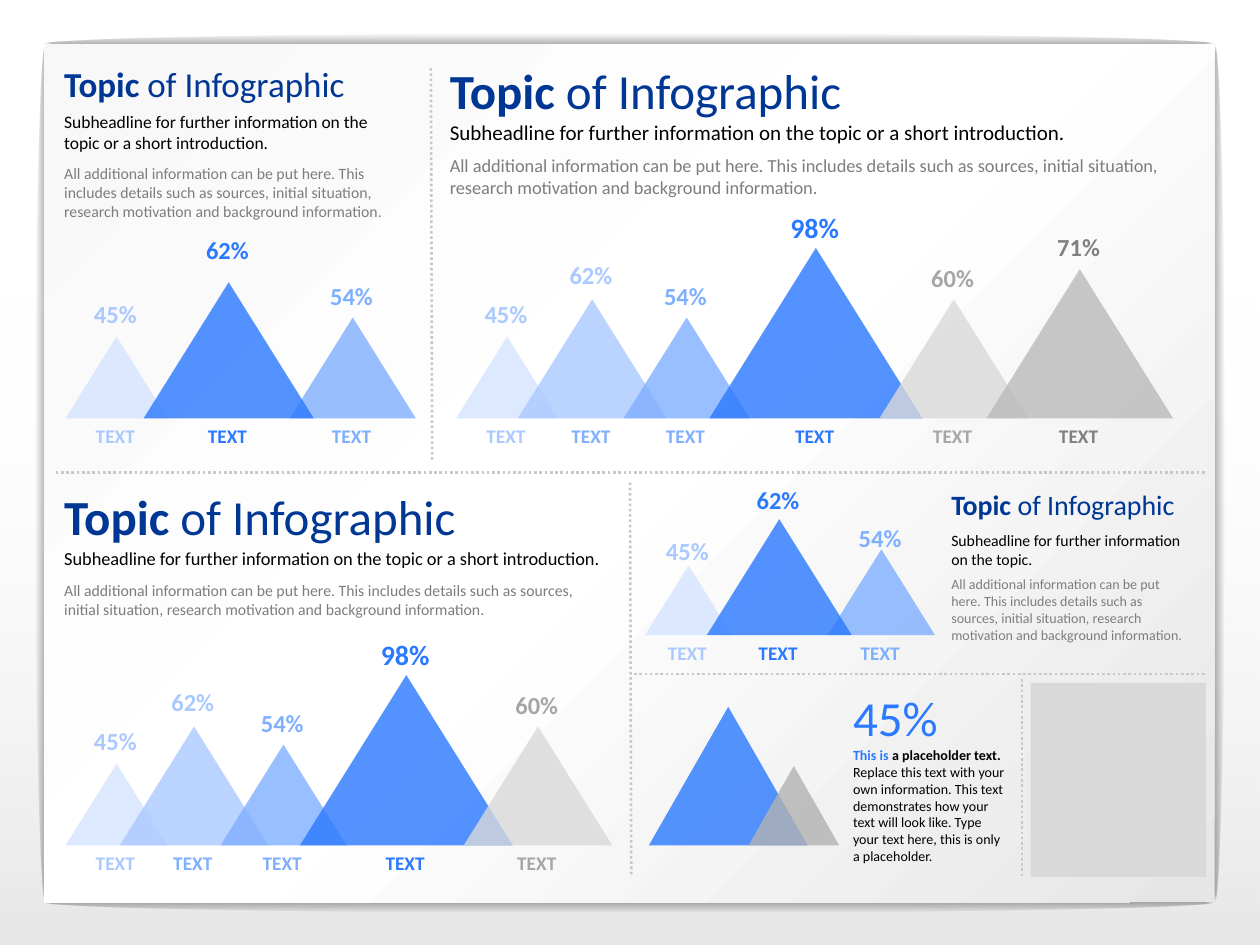
from lxml.etree import SubElement
from pptx import Presentation
from pptx.dml.color import RGBColor
from pptx.enum.dml import MSO_LINE
from pptx.enum.shapes import MSO_CONNECTOR, MSO_SHAPE
from pptx.enum.text import PP_ALIGN
from pptx.oxml import parse_xml
from pptx.oxml.ns import nsdecls, qn
from pptx.util import Inches, Pt

FONT = "Calibri"
COLORS = {
    "black": "000000", "white": "FFFFFF", "paper": "F8F8F8", "shade": "E6E6E6",
    "navy": "003794", "body": "7D7D7D", "divider": "C8C8C8",
    "ice": "D4E4FF", "sky": "AAC9FF", "azure": "7FAFFF", "blue": "2A79FF",
    "silver": "D9D9D9", "ash": "BABABA", "smoke": "B2B2B2",
    "grey": "A6A6A6", "dark": "808080",
}
# Peak tone: colours of the triangle, the share above it and the caption below it
TONES = {
    "pale": ("ice", "sky", "sky"),
    "light": ("sky", "sky", "azure"),
    "medium": ("azure", "azure", "azure"),
    "strong": ("blue", "blue", "blue"),
    "silver": ("silver", "grey", "grey"),
    "dark": ("ash", "dark", "dark"),
}
SUBHEAD = "Subheadline for further information on the topic"
DETAILS = ("All additional information can be put here. This includes details such as "
           "sources, initial situation, research motivation and background information.")


def rgb(color):
    return RGBColor.from_string(COLORS[color])


def add_block(slide, preset, box, color=None, opacity=100):
    block = slide.shapes.add_shape(preset, *map(Inches, box))
    block.shadow.inherit = False
    block.line.fill.background()
    if color:
        block.fill.solid()
        block.fill.fore_color.rgb = rgb(color)
    if opacity < 100:
        tint = block.fill._xPr.find(qn("a:solidFill"))[0]
        SubElement(tint, qn("a:alpha"), val=str(opacity * 1000))
    return block


def add_gradient(slide, preset, box, stops, angle=None):
    """Add a block with a linear gradient, or a radial one if angle is None.

    Each stop is (position, color, opacity), in percent.
    """
    block = add_block(slide, preset, box)
    stop_xml = "".join(
        f'<a:gs pos="{position * 1000}"><a:srgbClr val="{COLORS[color]}">'
        f'<a:alpha val="{opacity * 1000}"/></a:srgbClr></a:gs>'
        for position, color, opacity in stops)
    if angle is None:
        course = ('<a:path path="shape"><a:fillToRect l="50000" t="50000" '
                  'r="50000" b="50000"/></a:path>')
    else:
        course = f'<a:lin ang="{angle * 60000}" scaled="0"/>'
    gradient = parse_xml(f'<a:gradFill {nsdecls("a")} rotWithShape="1">'
                         f'<a:gsLst>{stop_xml}</a:gsLst>{course}</a:gradFill>')
    block._element.spPr.find(qn("a:prstGeom")).addnext(gradient)


def add_paper(slide):
    """Add the background shade and the sheet with its soft shadows."""
    add_gradient(slide, MSO_SHAPE.RECTANGLE, (0, 2.21, 10, 5.29),
                 [(0, "black", 10), (100, "white", 0)], 270)
    edges = [(0.35, 7.08, 9.29, 0.16), (0.35, 0.27, 9.29, 0.16),
             (9.56, 0.35, 0.16, 6.81), (0.28, 0.35, 0.16, 6.81)]
    for edge in edges:
        add_gradient(slide, MSO_SHAPE.OVAL, edge, [(0, "black", 30), (100, "black", 0)])
    add_gradient(slide, MSO_SHAPE.RECTANGLE, (0.35, 0.35, 9.29, 6.81),
                 [(0, "shade", 100), (50, "white", 100), (100, "paper", 100)], 225)


def add_divider(slide, *ends):
    divider = slide.shapes.add_connector(MSO_CONNECTOR.STRAIGHT, *map(Inches, ends))
    divider.line.color.rgb = rgb("divider")
    divider.line.width = Pt(1.5)
    divider.line.dash_style = MSO_LINE.ROUND_DOT
    SubElement(divider._element.spPr, qn("a:effectLst"))


def add_frame(slide, box, insets=None, wrap=True):
    frame = slide.shapes.add_textbox(*map(Inches, box)).text_frame
    frame.word_wrap = wrap
    if insets:
        (frame.margin_left, frame.margin_top,
         frame.margin_right, frame.margin_bottom) = map(Inches, insets)
    return frame


def write(paragraph, words, size, color, bold=False):
    run = paragraph.add_run()
    run.text = words
    run.font.name = FONT
    run.font.size = Pt(size)
    run.font.bold = bold
    run.font.color.rgb = rgb(color)


def add_heading(slide, left, title, subhead, details, ending=" or a short introduction."):
    """Add title, subheadline and details, each given as (top, width, height, size)."""
    parts = [
        (title, 0.08, [("Topic", "navy", True), (" of Infographic", "navy", False)]),
        (subhead, 0, [(SUBHEAD + ending, "black", False)]),
        (details, 0, [(DETAILS, "body", False)]),
    ]
    for (top, width, height, size), inset, runs in parts:
        frame = add_frame(slide, (left, top, width, height), (0, inset, 0.2, 0))
        paragraph = frame.paragraphs[0]
        paragraph.space_after = Pt(3)
        if inset:
            paragraph.line_spacing = 0.85
        for words, color, bold in runs:
            write(paragraph, words, size, color, bold)


def add_label(slide, center, top, width, height, words, size, color):
    frame = add_frame(slide, (center - width / 2, top, width, height), wrap=False)
    frame.paragraphs[0].alignment = PP_ALIGN.CENTER
    write(frame.paragraphs[0], words, size, color, bold=True)


def add_peaks(slide, baseline, peaks):
    """Add a row of peaks, each given as (left, width, share, tone, gap below share)."""
    for left, width, share, tone, gap in peaks:
        fill, share_color, caption_color = TONES[tone]
        height = 0.8 * width
        center = left + width / 2 - 0.01
        size, label_width, label_height = (16, 0.59, 0.37) if share > 90 else (14, 0.55, 0.34)
        add_block(slide, MSO_SHAPE.ISOSCELES_TRIANGLE,
                  (left, baseline - height, width, height), fill, 80)
        add_label(slide, center, baseline - height - gap - label_height,
                  label_width, label_height, f"{share}%", size, share_color)
        add_label(slide, center, baseline, 0.52, 0.29, "TEXT", 11, caption_color)


def add_callout(slide):
    frame = add_frame(slide, (6.69, 5.46, 1.41, 1.51), (0.08, 0, 0.12, 0.08))
    write(frame.paragraphs[0], "45%", 28, "blue")
    note = frame.add_paragraph()
    write(note, "This is", 8, "blue", bold=True)
    write(note, " a placeholder text. ", 8, "black", bold=True)
    write(note, "Replace this text with your own information. This text demonstrates how "
                "your text will look like. Type your text here, this is only a placeholder.",
          8, "black")
    for box, color in [((5.15, 5.61, 1.26, 1.1), "blue"), ((5.94, 6.08, 0.72, 0.63), "smoke")]:
        add_block(slide, MSO_SHAPE.ISOSCELES_TRIANGLE, box, color, 80)


def main():
    deck = Presentation()
    deck.slide_width, deck.slide_height = Inches(10), Inches(7.5)
    slide = deck.slides.add_slide(deck.slide_layouts[6])

    add_paper(slide)
    for ends in [(5, 3.83, 5.01, 6.96), (9.56, 3.75, 0.43, 3.75), (3.42, 0.54, 3.43, 3.67),
                 (8.11, 5.39, 8.11, 6.96), (9.56, 5.35, 5.01, 5.35)]:
        add_divider(slide, *ends)

    add_heading(slide, 0.51, (0.47, 2.79, 0.52, 20), (0.88, 2.81, 0.29, 10),
                (1.3, 2.76, 0.4, 9))
    add_peaks(slide, 3.32, [
        (0.52, 0.81, 45, "pale", 0.01), (2.3, 1, 54, "medium", 0),
        (1.14, 1.35, 62, "strong", 0.08)])

    add_heading(slide, 3.57, (0.47, 5.08, 1.18, 28), (0.95, 6.06, 0.79, 12),
                (1.22, 5.84, 1.16, 10.5))
    add_peaks(slide, 3.32, [
        (3.62, 0.81, 45, "pale", 0.01), (4.11, 1.18, 62, "light", 0.02),
        (4.95, 1, 54, "medium", 0), (5.63, 1.69, 98, "strong", -0.02),
        (6.98, 1.18, 60, "silver", 0), (7.83, 1.48, 71, "dark", 0)])

    add_heading(slide, 0.51, (3.85, 4.33, 0.52, 28), (4.34, 4.48, 0.29, 10.5),
                (4.61, 4.27, 0.4, 9))
    add_peaks(slide, 6.71, [
        (0.52, 0.81, 45, "pale", 0.01), (0.95, 1.18, 62, "light", 0.02),
        (1.75, 1, 54, "medium", 0), (2.38, 1.69, 98, "strong", -0.02),
        (3.68, 1.18, 60, "silver", 0)])

    add_heading(slide, 7.55, (3.83, 2.05, 0.52, 16), (4.21, 2.07, 0.29, 9),
                (4.57, 2.09, 0.4, 8), ending=".")
    add_peaks(slide, 5.04, [
        (5.12, 0.69, 45, "pale", -0.06), (6.57, 0.85, 54, "medium", -0.08),
        (5.61, 1.15, 62, "strong", -0.02)])

    add_callout(slide)
    add_block(slide, MSO_SHAPE.RECTANGLE, (8.18, 5.42, 1.39, 1.54), "silver")
    deck.save("out.pptx")


if __name__ == "__main__":
    main()
